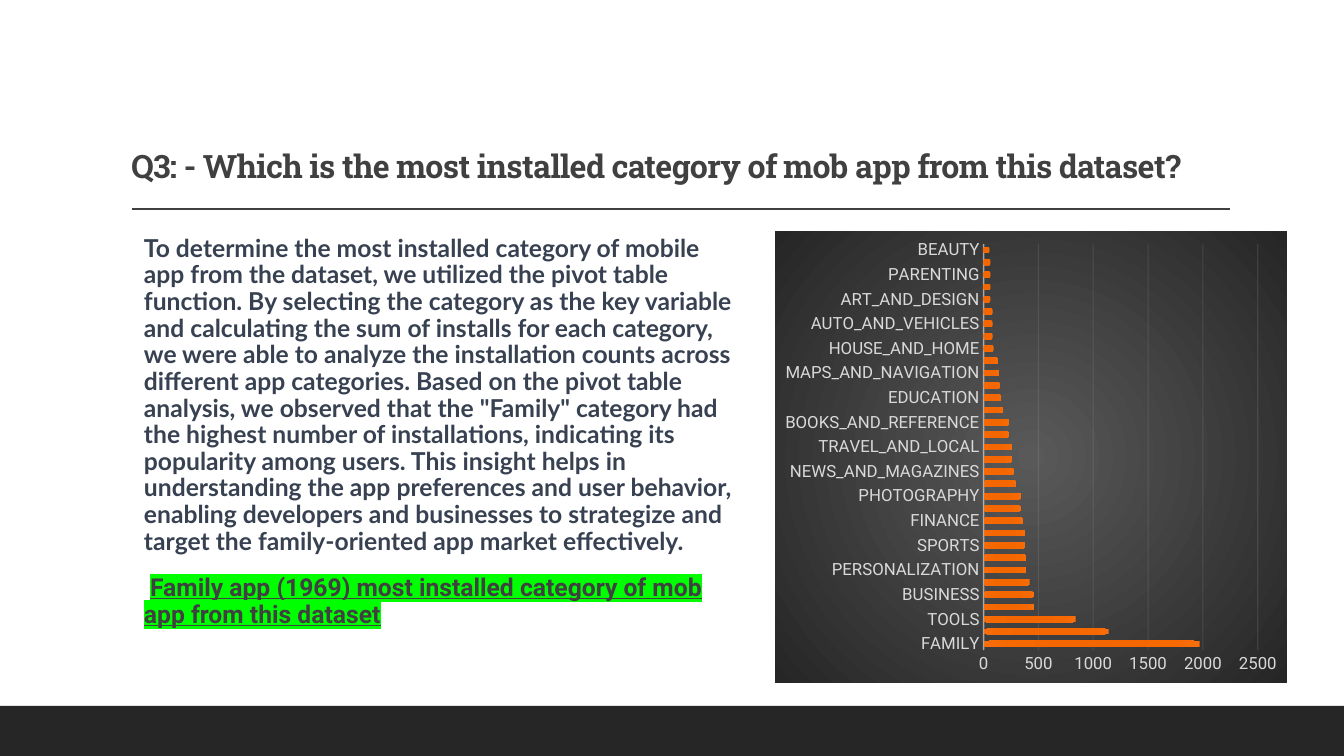
from dataclasses import dataclass

from lxml.etree import SubElement
from pptx import Presentation
from pptx.chart.data import CategoryChartData
from pptx.dml.color import RGBColor
from pptx.enum.chart import XL_CHART_TYPE, XL_TICK_MARK
from pptx.enum.shapes import MSO_CONNECTOR, MSO_SHAPE
from pptx.enum.text import MSO_ANCHOR, MSO_AUTO_SIZE, PP_ALIGN
from pptx.oxml import parse_xml
from pptx.oxml.ns import nsdecls, qn
from pptx.util import Emu, Pt


@dataclass(frozen=True)
class Theme:
    ink: str = "404040"
    answer: str = "374151"
    band: str = "262626"
    highlight: str = "00FF00"
    axis: str = "F2F2F2"
    axis_label: str = "D9D9D9"
    backdrop: tuple = ((0, "595959"), (100, "262626"))
    bar: tuple = ((0, "F06500"), (34, "F36600"), (70, "F66800"), (100, "F76E0B"))
    title_font: str = "Roboto Slab"
    answer_font: str = "Lato"
    label_font: str = "Roboto"
    title_size: float = 23
    answer_size: float = 17.6
    label_size: float = 12


THEME = Theme()
EMU_PER_PX = 914400 / 100.8

QUESTION = "Q3: - Which is the most installed category of mob app from this dataset?"
ANSWER = (
    "To determine the most installed category of mobile app from the dataset, we utilized "
    "the pivot table function. By selecting the category as the key variable and calculating "
    "the sum of installs for each category, we were able to analyze the installation counts "
    "across different app categories. Based on the pivot table analysis, we observed that the "
    '"Family" category had the highest number of installations, indicating its popularity among '
    "users. This insight helps in understanding the app preferences and user behavior, enabling "
    "developers and businesses to strategize and target the family-oriented app market effectively."
)
FINDING = "Family app (1969) most installed category of mob app from this dataset"
INSTALLS = {
    "FAMILY": 1970, "GAME": 1140, "TOOLS": 840, "MEDICAL": 460, "BUSINESS": 460,
    "PRODUCTIVITY": 420, "PERSONALIZATION": 390, "COMMUNICATION": 390, "SPORTS": 380,
    "LIFESTYLE": 380, "FINANCE": 360, "HEALTH_AND_FITNESS": 340, "PHOTOGRAPHY": 340,
    "SOCIAL": 300, "NEWS_AND_MAGAZINES": 280, "SHOPPING": 260, "TRAVEL_AND_LOCAL": 260,
    "DATING": 230, "BOOKS_AND_REFERENCE": 230, "VIDEO_PLAYERS": 180, "EDUCATION": 160,
    "ENTERTAINMENT": 150, "MAPS_AND_NAVIGATION": 140, "FOOD_AND_DRINK": 130,
    "HOUSE_AND_HOME": 90, "LIBRARIES_AND_DEMO": 80, "AUTO_AND_VEHICLES": 80, "WEATHER": 80,
    "ART_AND_DESIGN": 60, "EVENTS": 60, "PARENTING": 60, "COMICS": 60, "BEAUTY": 50,
}


def px(length):
    return Emu(round(length * EMU_PER_PX))


def rgb(color):
    return RGBColor.from_string(color)


def style_font(font, size, color, face, bold=False):
    font.size, font.name, font.bold = Pt(size), face, bold
    font.color.rgb = rgb(color)


def write(paragraph, text, *, size, color, face, bold=True, underline=False,
          highlight=None, spacing=None):
    run = paragraph.add_run()
    run.text = text
    style_font(run.font, size, color, face, bold)
    run.font.underline = underline
    properties = run.font._element
    if spacing is not None:
        properties.set("spc", str(round(spacing * 100)))
    if highlight:
        marker = SubElement(properties, qn("a:highlight"))
        SubElement(marker, qn("a:srgbClr")).set("val", highlight)
        properties.find(qn("a:solidFill")).addnext(marker)


def radial_fill(stops, center):
    stop_xml = "".join(
        f'<a:gs pos="{at * 1000}"><a:srgbClr val="{color}"/></a:gs>' for at, color in stops
    )
    edges = " ".join(f'{side}="{center * 1000}"' for side in "ltrb")
    return parse_xml(
        f'<a:gradFill {nsdecls("a")} rotWithShape="1"><a:gsLst>{stop_xml}</a:gsLst>'
        f'<a:path path="circle"><a:fillToRect {edges}/></a:path></a:gradFill>'
    )


def style_line(line, color, width, opacity):
    line.width = Pt(width)
    line.color.rgb = rgb(color)
    swatch = line._get_or_add_ln().find(".//" + qn("a:srgbClr"))
    SubElement(swatch, qn("a:alpha")).set("val", str(opacity * 1000))


def place(shape, box):
    shape.left, shape.top, shape.width, shape.height = map(px, box)


def add_band(slide, box):
    band = slide.shapes.add_shape(MSO_SHAPE.RECTANGLE, *map(px, box))
    band.shadow.inherit = False
    band.fill.solid()
    band.fill.fore_color.rgb = rgb(THEME.band)
    band.line.fill.background()


def add_question(slide, box):
    left, top, width, height = box
    question = slide.shapes.title
    place(question, box)
    frame = question.text_frame
    frame.word_wrap = True
    frame.auto_size = MSO_AUTO_SIZE.NONE
    frame.vertical_anchor = MSO_ANCHOR.BOTTOM
    paragraph = frame.paragraphs[0]
    paragraph.alignment = PP_ALIGN.LEFT
    paragraph.line_spacing = 0.9
    write(paragraph, QUESTION, size=THEME.title_size, color=THEME.ink,
          face=THEME.title_font, spacing=-0.5)

    rule_y = px(top + height + 18)
    rule = slide.shapes.add_connector(
        MSO_CONNECTOR.STRAIGHT, px(left + 11), rule_y, px(left + width), rule_y
    )
    rule.line.color.rgb = rgb(THEME.ink)
    rule.line.width = Pt(1)
    SubElement(rule._element.spPr, qn("a:effectLst"))


def add_answer(slide, box):
    frame = slide.shapes.add_textbox(*map(px, box)).text_frame
    frame.word_wrap = True
    frame.margin_left, frame.margin_right = px(10), 0
    frame.margin_top = frame.margin_bottom = px(5)
    explanation, finding = frame.paragraphs[0], frame.add_paragraph()
    for paragraph in (explanation, finding):
        paragraph.line_spacing = 0.9
        paragraph.space_after = Pt(2)
    finding.space_before = Pt(12)
    write(explanation, ANSWER, size=THEME.answer_size, color=THEME.answer,
          face=THEME.answer_font)
    finding_format = dict(size=THEME.answer_size, color=THEME.ink, face=THEME.label_font)
    write(finding, " ", **finding_format)
    write(finding, FINDING, underline=True, highlight=THEME.highlight, **finding_format)


def add_installs_chart(slide, box):
    installs = CategoryChartData()
    installs.categories = list(INSTALLS)
    installs.add_series("Series 1", list(INSTALLS.values()))
    chart = slide.shapes.add_chart(
        XL_CHART_TYPE.BAR_CLUSTERED, *map(px, box), installs
    ).chart
    chart.has_legend = False
    chart.has_title = False
    style_font(chart.font, THEME.label_size, THEME.axis_label, THEME.label_font)
    backdrop = parse_xml(f'<c:spPr {nsdecls("c", "a")}><a:ln><a:noFill/></a:ln></c:spPr>')
    backdrop.insert(0, radial_fill(THEME.backdrop, 50))
    chart._chartSpace.find(qn("c:txPr")).addprevious(backdrop)

    plot = chart.plots[0]
    plot.gap_width = 115
    plot.overlap = -20
    plot.vary_by_categories = False
    bars = plot.series[0]
    bars.invert_if_negative = False
    bars._element.get_or_add_spPr().append(radial_fill(THEME.bar, 100))

    for axis in (chart.category_axis, chart.value_axis):
        axis.major_tick_mark = axis.minor_tick_mark = XL_TICK_MARK.NONE
        style_font(axis.tick_labels.font, THEME.label_size, THEME.axis_label, THEME.label_font)
    chart.category_axis.has_major_gridlines = False
    style_line(chart.category_axis.format.line, THEME.axis, 1, 54)
    counts = chart.value_axis
    counts.minimum_scale, counts.maximum_scale, counts.major_unit = 0, 2500, 500
    counts.format.line.fill.background()
    counts.has_major_gridlines = True
    style_line(counts.major_gridlines.format.line, THEME.axis, 0.75, 10)


def main():
    presentation = Presentation()
    presentation.slide_width, presentation.slide_height = px(1344), px(756)
    slide = presentation.slides.add_slide(presentation.slide_layouts[5])
    add_band(slide, (0, 706, 1344, 50))
    add_question(slide, (121, 31, 1109, 160))
    add_installs_chart(slide, (775, 231, 512, 452))
    add_answer(slide, (134, 231, 604, 452))
    presentation.save("out.pptx")


if __name__ == "__main__":
    main()
